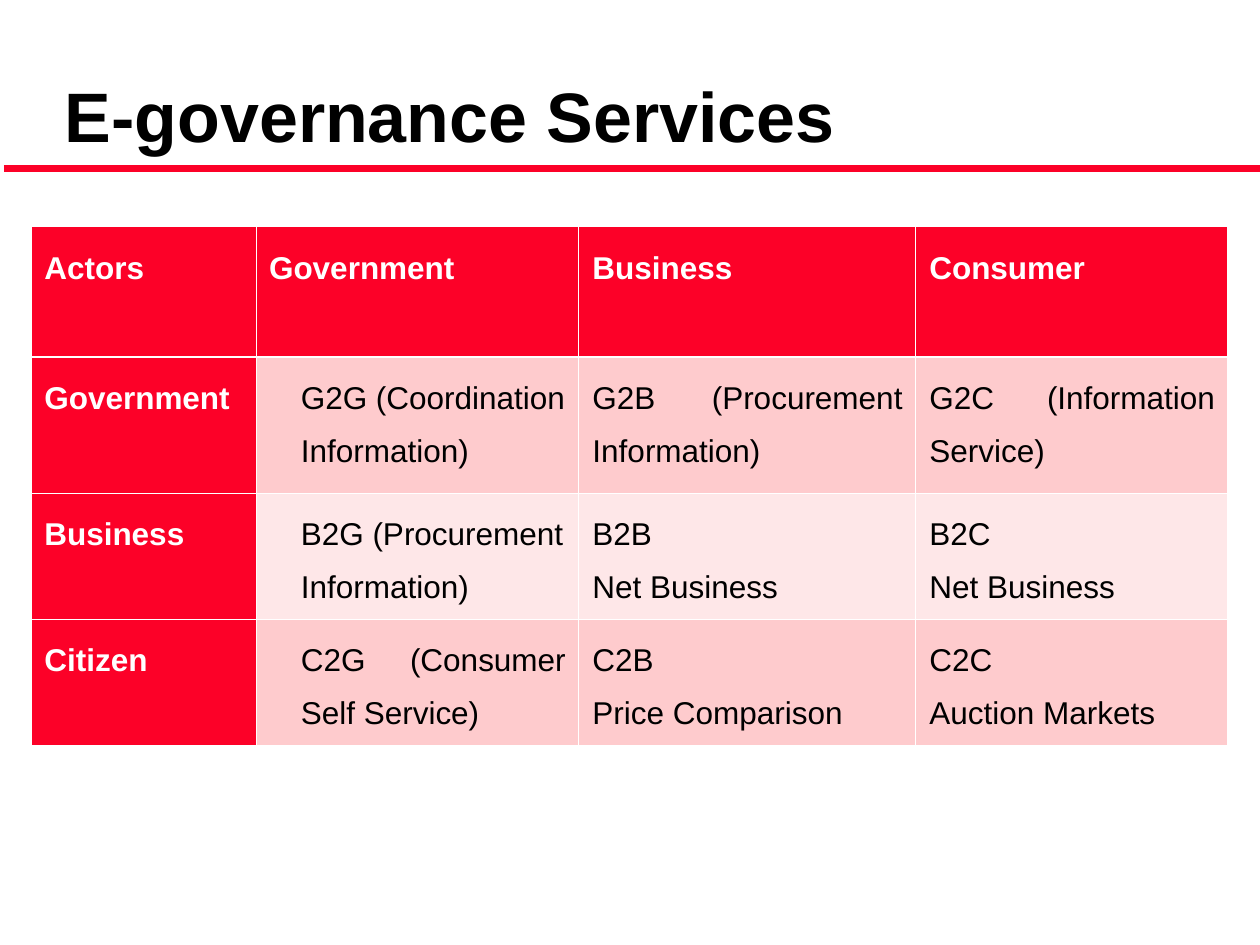
from lxml.etree import SubElement
from pptx import Presentation
from pptx.dml.color import RGBColor
from pptx.enum.shapes import MSO_CONNECTOR
from pptx.enum.text import MSO_ANCHOR, PP_ALIGN
from pptx.oxml.ns import qn
from pptx.util import Cm, Pt

COLORS = {
    "accent": "FC0128",
    "band_dark": "FECBCD",
    "band_light": "FEE7E8",
    "ink": "000000",
    "paper": "FFFFFF",
}
SERVICES = [
    ["Actors", "Government", "Business", "Consumer"],
    ["Government", "G2G (Coordination\nInformation)",
     "G2B (Procurement Information)", "G2C (Information Service)"],
    ["Business", "B2G (Procurement\nInformation)",
     "B2B\nNet Business", "B2C\nNet Business"],
    ["Citizen", "C2G (Consumer Self Service)",
     "C2B\nPrice Comparison", "C2C\nAuction Markets"],
]
COLUMN_WIDTHS = [4.53, 6.49, 6.79, 6.3]
ROW_HEIGHTS = [2.63, 2.74, 2.54, 2.54]
HAIRLINE, HEADER_RULE = 0.45, 1.47


def color(name):
    return RGBColor.from_string(COLORS[name])


def apply_format(target, values):
    for attribute, value in values.items():
        setattr(target, attribute, value)


def style_paragraph(paragraph, size, ink, bold, left=0, first=0):
    properties = paragraph._p.get_or_add_pPr()
    properties.set("marL", str(Cm(left)))
    properties.set("indent", str(Cm(first)))
    apply_format(paragraph.font, {"name": "Arial", "size": Pt(size), "bold": bold})
    paragraph.font.color.rgb = color(ink)


def border_cell(cell, widths):
    properties = cell._tc.get_or_add_tcPr()
    for side, width in widths.items():
        edge = SubElement(properties, qn(f"a:ln{side}"), w=str(Pt(width)))
        fill = SubElement(edge, qn("a:solidFill"))
        SubElement(fill, qn("a:srgbClr"), val=COLORS["paper"])


def add_title(slide, left, top, width, height):
    title = slide.shapes.add_textbox(Cm(left), Cm(top), Cm(width), Cm(height))
    frame = title.text_frame
    apply_format(frame, {"word_wrap": True, "vertical_anchor": MSO_ANCHOR.BOTTOM})
    frame.text = "E-governance Services"
    style_paragraph(frame.paragraphs[0], 40, "ink", True, 0.97, -0.97)


def add_title_rule(slide, left, top, width):
    rule = slide.shapes.add_connector(
        MSO_CONNECTOR.STRAIGHT, Cm(left), Cm(top), Cm(left + width), Cm(top))
    rule.line.color.rgb = color("accent")
    rule.line.width = Pt(4)
    SubElement(rule._element.spPr, qn("a:effectLst"))


def fill_service_cell(cell, text, row, column):
    heading = row == 0 or column == 0
    band = "band_dark" if row % 2 else "band_light"
    border_cell(cell, {
        "L": HAIRLINE,
        "R": HAIRLINE,
        "T": HEADER_RULE if row == 1 else HAIRLINE,
        "B": HEADER_RULE if row == 0 else HAIRLINE,
    })
    cell.fill.solid()
    cell.fill.fore_color.rgb = color("accent" if heading else band)
    cell.text = text
    if column == 1:
        indent = 0 if heading else 0.64
    else:
        indent = 0.03 if column else 0
    for paragraph in cell.text_frame.paragraphs:
        apply_format(paragraph, {"alignment": PP_ALIGN.JUSTIFY, "line_spacing": 1.5})
        style_paragraph(paragraph, 18, "paper" if heading else "ink", heading, indent)


def add_services_table(slide, left, top):
    table = slide.shapes.add_table(
        len(ROW_HEIGHTS), len(COLUMN_WIDTHS), Cm(left), Cm(top),
        Cm(sum(COLUMN_WIDTHS)), Cm(sum(ROW_HEIGHTS))).table
    apply_format(table, {"first_row": False, "horz_banding": False})
    for column, width in zip(table.columns, COLUMN_WIDTHS):
        column.width = Cm(width)
    for row, height in zip(table.rows, ROW_HEIGHTS):
        row.height = Cm(height)
    for row, texts in enumerate(SERVICES):
        for column, text in enumerate(texts):
            fill_service_cell(table.cell(row, column), text, row, column)


def main():
    presentation = Presentation()
    apply_format(presentation, {"slide_width": Cm(25.4), "slide_height": Cm(19.05)})
    slide = presentation.slides.add_slide(presentation.slide_layouts[6])
    slide.background.fill.solid()
    slide.background.fill.fore_color.rgb = color("paper")
    add_title_rule(slide, 0.08, 3.39, 25.32)
    add_services_table(slide, 0.64, 4.57)
    add_title(slide, 1.06, 0.2, 23.28, 3.08)
    presentation.save("out.pptx")


if __name__ == "__main__":
    main()
